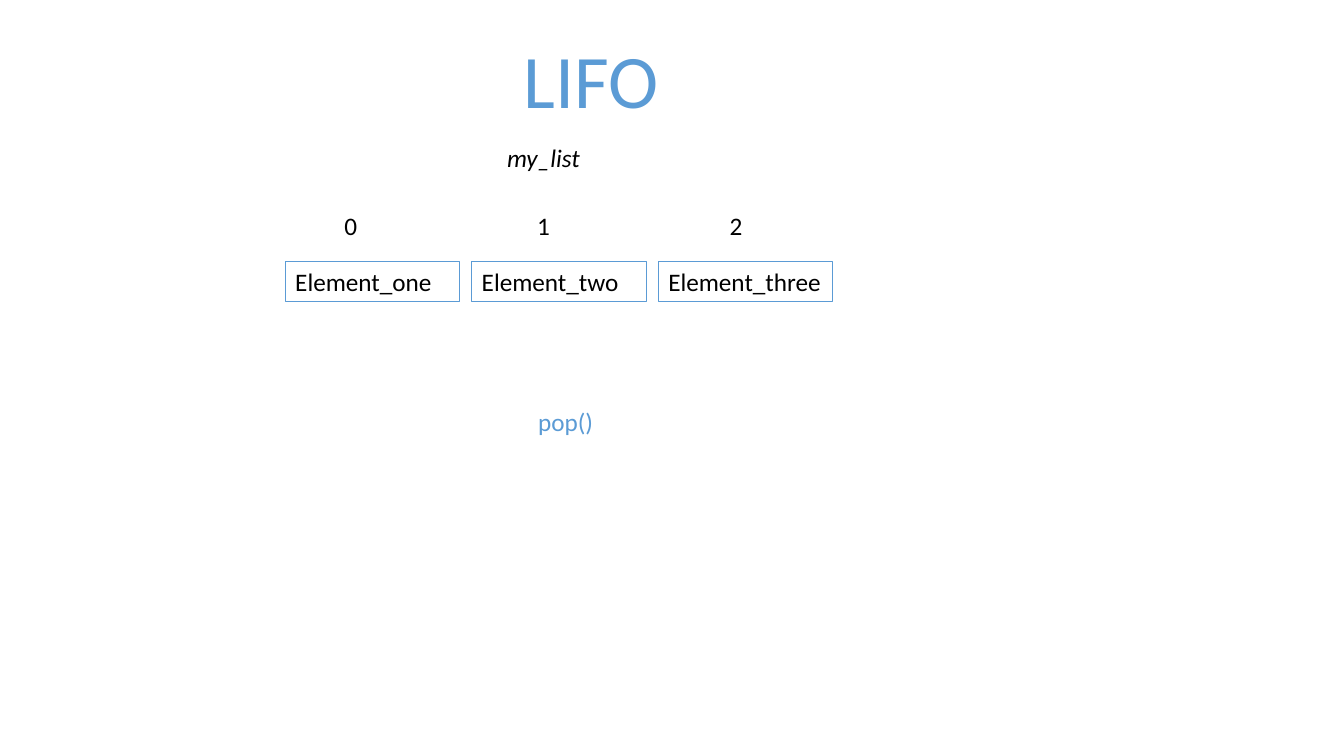
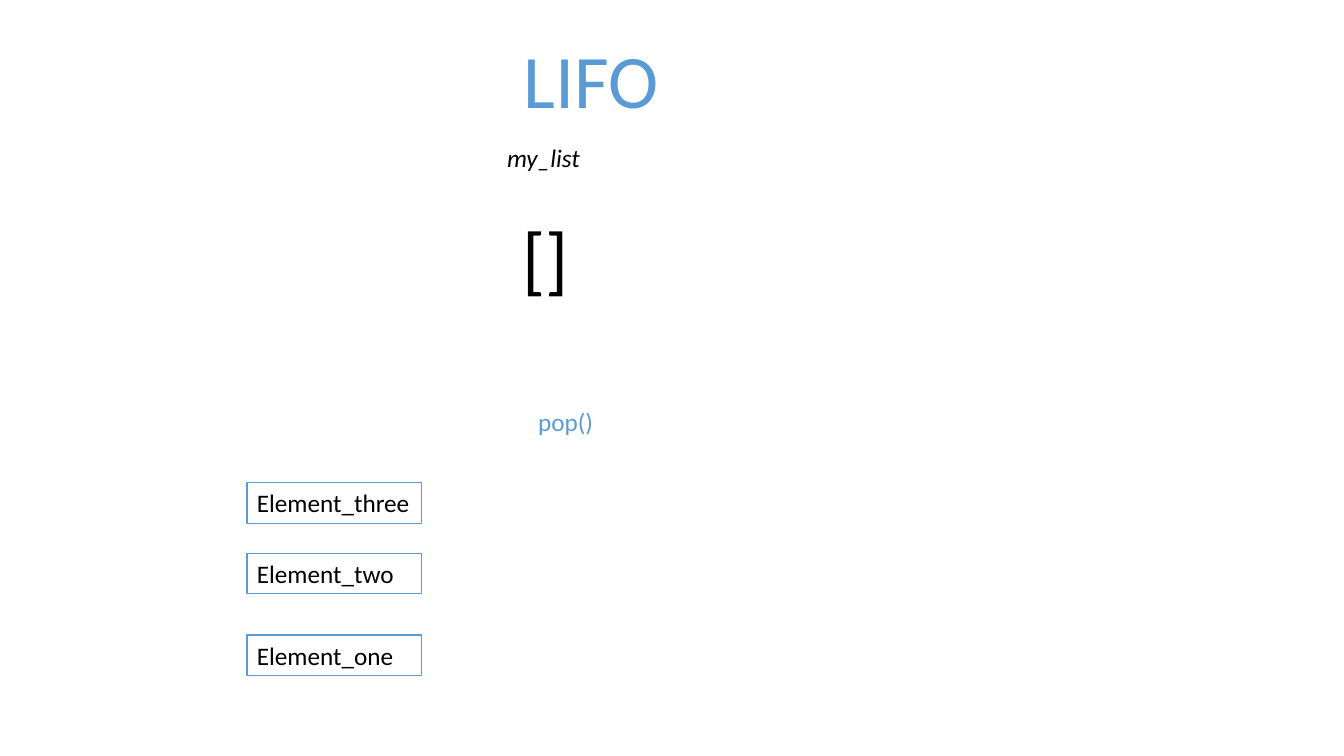
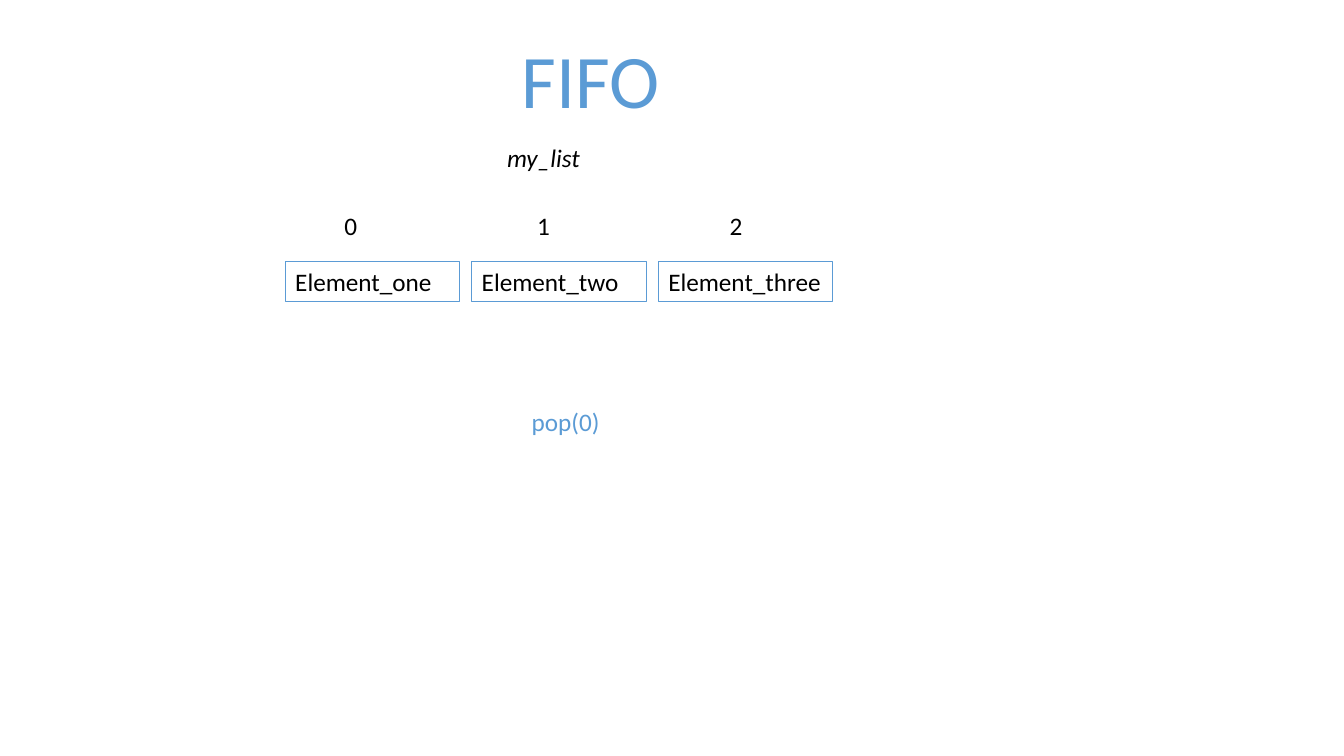
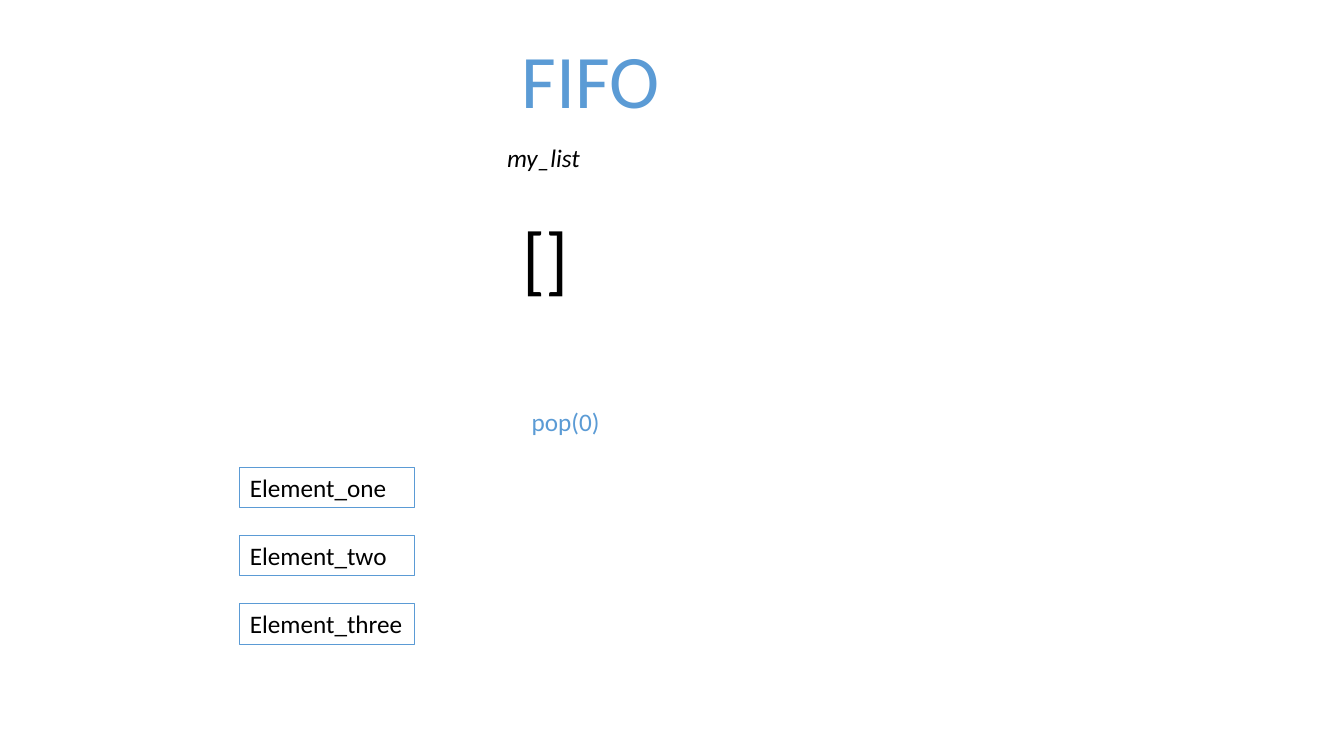
from pptx import Presentation
from pptx import util as u
from pptx.dml.color import RGBColor
from pptx.enum import shapes, text

# Content
COLORS = {"accent": "5B9BD5", "ink": "000000"}
ELEMENTS = ["Element_one", "Element_two", "Element_three"]
QUEUES = [
    {"title": "LIFO", "title_width": 1.55, "call": "pop()", "call_width": 0.76,
     "popped": ELEMENTS[::-1], "left": 2.45, "tops": [4.79, 5.49, 6.3]},
    {"title": "FIFO", "title_width": 1.58, "call": "pop(0)", "call_width": 0.88,
     "popped": ELEMENTS, "left": 2.38, "tops": [4.64, 5.31, 5.99]},
]

# Shared text styles
BODY = {"size": u.Pt(18), "name": "Calibri", "italic": False}
NAME = {**BODY, "italic": True}
DISPLAY = {**BODY, "size": u.Pt(54)}

# Shared geometry, in inches
ROW_HEIGHT, DISPLAY_HEIGHT = 0.4, 1.01
ELEMENT_WIDTH, ELEMENT_LEFT, ELEMENT_STEP, ELEMENT_TOP = 1.73, 2.83, 1.85, 2.59
INDEX_WIDTH, INDEX_CENTER, INDEX_STEP, INDEX_TOP = 0.33, 3.48, 1.91, 2.04

presentation = Presentation()
presentation.slide_width = u.Inches(13.33)
presentation.slide_height = u.Inches(7.5)


def color(name):
    return RGBColor.from_string(COLORS[name])


def write(shape, words, style, ink, align, wrap):
    frame_format = {"word_wrap": wrap,
                    "auto_size": text.MSO_AUTO_SIZE.SHAPE_TO_FIT_TEXT,
                    "vertical_anchor": text.MSO_ANCHOR.TOP}
    for key, value in frame_format.items():
        setattr(shape.text_frame, key, value)
    paragraph = shape.text_frame.paragraphs[0]
    paragraph.alignment = align
    run = paragraph.add_run()
    run.text = words
    for key, value in style.items():
        setattr(run.font, key, value)
    run.font.color.rgb = color(ink)


def add_label(slide, words, center, top, width, style=BODY, ink="ink"):
    height = DISPLAY_HEIGHT if style is DISPLAY else ROW_HEIGHT
    box = slide.shapes.add_textbox(*map(u.Inches, (center - width / 2, top, width, height)))
    write(box, words, style, ink, text.PP_ALIGN.CENTER, False)


def add_element(slide, words, left, top):
    box = slide.shapes.add_shape(
        shapes.MSO_SHAPE.RECTANGLE,
        *map(u.Inches, (left, top, ELEMENT_WIDTH, ROW_HEIGHT)))
    box.shadow.inherit = False
    box.fill.background()
    box.line.color.rgb = color("accent")
    box.line.width = u.Pt(0.75)
    write(box, words, BODY, "ink", text.PP_ALIGN.LEFT, True)


def add_queue_slide(queue):
    """Slide with the title, list name and call shared by both stages."""
    slide = presentation.slides.add_slide(presentation.slide_layouts[6])
    add_label(slide, "my_list", 5.39, 1.36, 0.93, NAME)
    add_label(slide, queue["title"], 5.86, 0.28, queue["title_width"], DISPLAY, "accent")
    add_label(slide, queue["call"], 5.61, 3.98, queue["call_width"], ink="accent")
    return slide


for queue in QUEUES:
    # Full list with its indexes
    slide = add_queue_slide(queue)
    for index, element in enumerate(ELEMENTS):
        add_label(slide, str(index), INDEX_CENTER + index * INDEX_STEP, INDEX_TOP, INDEX_WIDTH)
        add_element(slide, element, ELEMENT_LEFT + index * ELEMENT_STEP, ELEMENT_TOP)

    # Empty list above the elements in popping order
    slide = add_queue_slide(queue)
    add_label(slide, "[]", 5.41, 2.04, 0.66, DISPLAY)
    for element, top in zip(queue["popped"], queue["tops"]):
        add_element(slide, element, queue["left"], top)

presentation.save("out.pptx")
